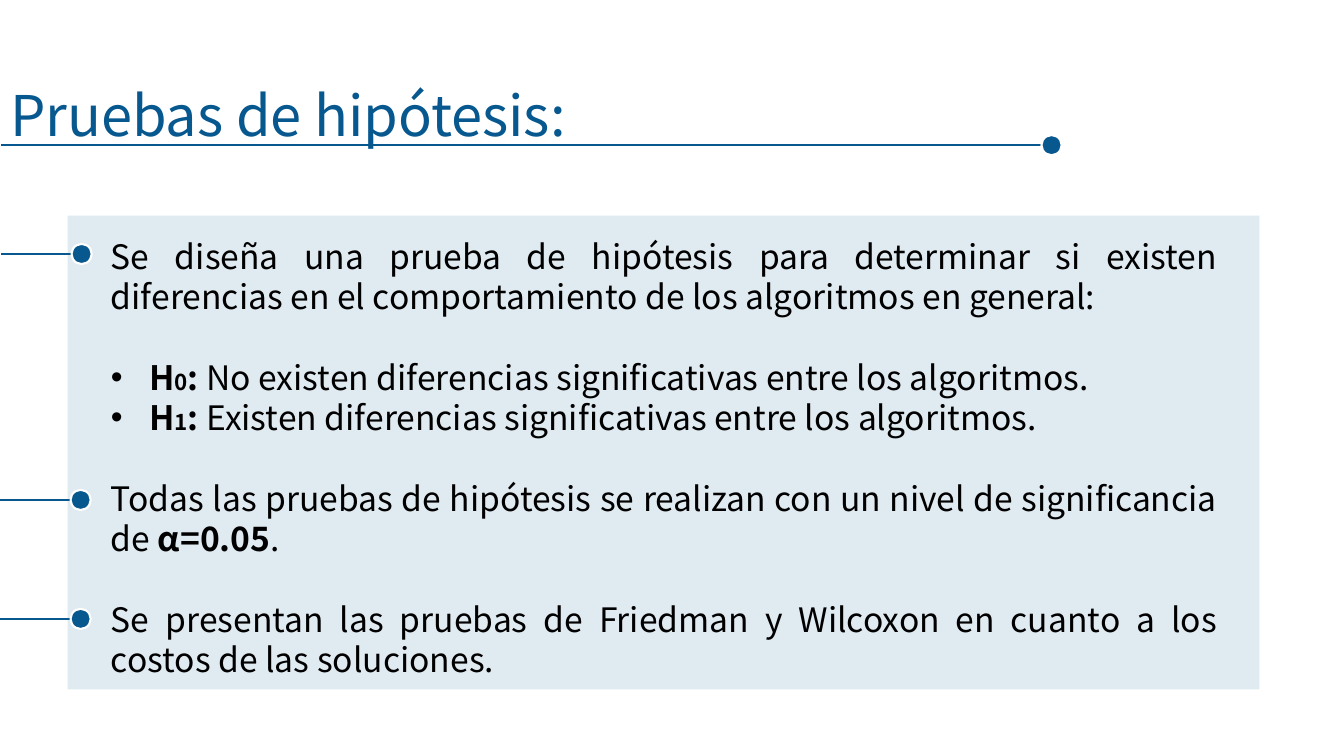
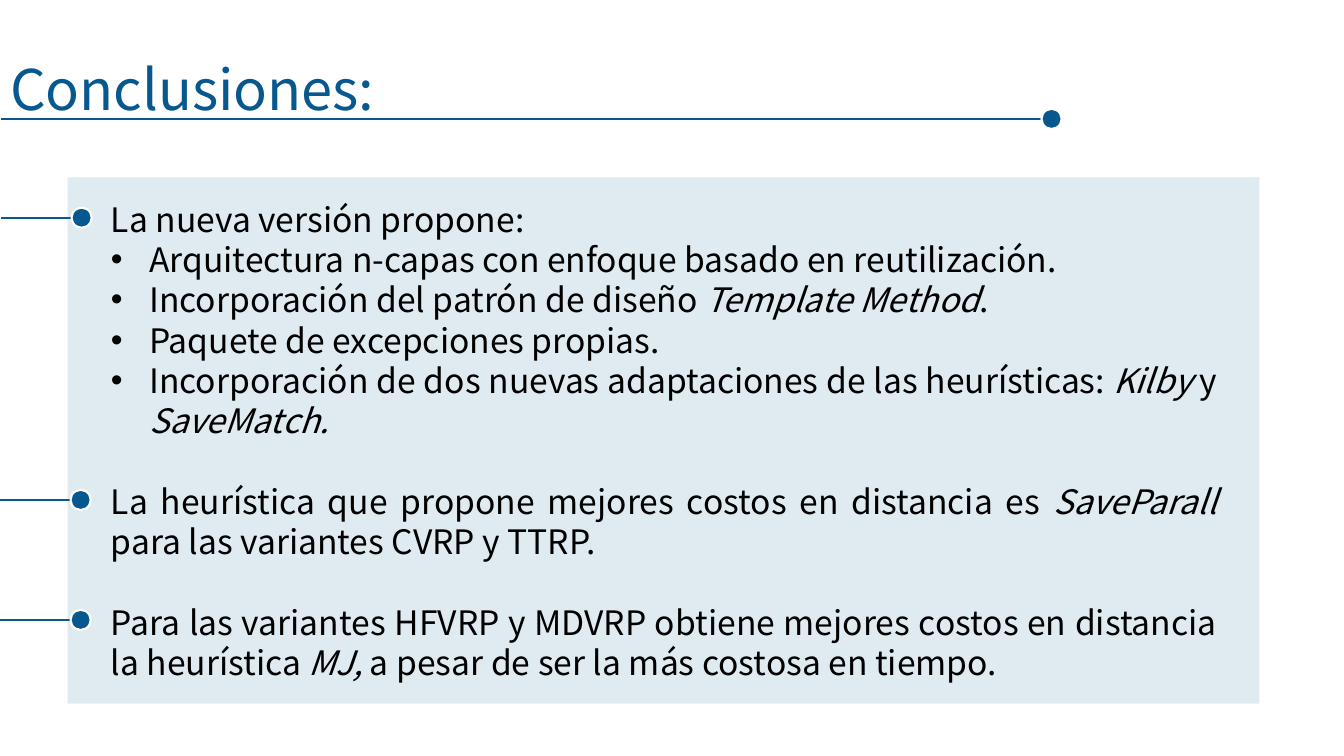
import pptx
import pptx.dml.color
import pptx.enum.shapes
import pptx.enum.text
import pptx.oxml.ns
import pptx.util
from lxml import etree

Inches = pptx.util.Inches
Pt = pptx.util.Pt
Align = pptx.enum.text.PP_ALIGN

BLUE = "07588F"
WHITE = "FFFFFF"
BLACK = "000000"
FONT = "Noto Sans CJK JP"
TITLE_SIZE = 40
BODY_SIZE = 24
LINE_FACTOR = 1.2
BOLD = {"bold": True}
SUBSCRIPT = {"bold": True, "size": 16}
ITALIC = {"italic": True}


def color(value):
    return pptx.dml.color.RGBColor.from_string(value)


def add_xml(parent, tag, **attributes):
    return etree.SubElement(parent, pptx.oxml.ns.qn(tag), attributes)


def write(paragraph, text, size=BODY_SIZE, fill=BLACK, bold=False, italic=False):
    run = paragraph.add_run()
    run.text = text
    run.font.name = FONT
    run.font.size = Pt(size)
    run.font.bold = bold
    run.font.italic = italic
    run.font.color.rgb = color(fill)


class Deck:
    def __init__(self):
        self.presentation = pptx.Presentation()
        self.presentation.slide_width = Inches(13.33)
        self.presentation.slide_height = Inches(7.5)
        self.slide = None

    def new_slide(self):
        layout = self.presentation.slide_layouts[1]
        self.slide = self.presentation.slides.add_slide(layout)

    def place(self, shape, left, top, width, height):
        shape.left, shape.top = Inches(left), Inches(top)
        shape.width, shape.height = Inches(width), Inches(height)
        frame = shape.text_frame
        frame.word_wrap = True
        frame.auto_size = pptx.enum.text.MSO_AUTO_SIZE.NONE
        frame.vertical_anchor = pptx.enum.text.MSO_ANCHOR.TOP
        return frame

    def title(self, text, top, width):
        frame = self.place(self.slide.shapes.title, 0, top, width, 0.77)
        frame.margin_right = 0
        paragraph = frame.paragraphs[0]
        paragraph.alignment = Align.LEFT
        paragraph.line_spacing = Pt(TITLE_SIZE * LINE_FACTOR)
        write(paragraph, text, size=TITLE_SIZE, fill=BLUE)
        self.pin(self.slide.shapes, 0.01, 10.41, top + 0.69)

    def panel(self, top, height):
        shape = self.slide.shapes.add_shape(
            pptx.enum.shapes.MSO_SHAPE.RECTANGLE,
            Inches(0.67), Inches(top), Inches(11.82), Inches(height))
        shape.shadow.inherit = False
        shape.fill.solid()
        shape.fill.fore_color.rgb = color(BLUE)
        shape.line.fill.background()
        tint = shape.element.spPr.find(".//" + pptx.oxml.ns.qn("a:srgbClr"))
        add_xml(tint, "a:alpha", val="12000")
        self.slide.shapes.title.element.addprevious(shape.element)

    def body(self, top, height, items):
        frame = self.place(self.slide.placeholders[1], 1, top, 11.17, height)
        line_height = BODY_SIZE * LINE_FACTOR
        for index, (bulleted, gap, runs) in enumerate(items):
            paragraph = frame.add_paragraph() if index else frame.paragraphs[0]
            paragraph.alignment = Align.JUSTIFY
            paragraph.line_spacing = Pt(line_height)
            paragraph.space_before = Pt(line_height if gap else 0)
            paragraph.space_after = Pt(0)
            properties = paragraph._p.get_or_add_pPr()
            indent = Inches(0.38) if bulleted else 0
            properties.set("marL", str(indent))
            properties.set("indent", str(-indent))
            if bulleted:
                add_xml(properties, "a:buChar", char="•")
            else:
                add_xml(properties, "a:buNone")
            for text, style in runs:
                write(paragraph, text, **style)

    def pin(self, shapes, start, end, y):
        line = shapes.add_connector(
            pptx.enum.shapes.MSO_CONNECTOR.STRAIGHT,
            Inches(start), Inches(y), Inches(end), Inches(y))
        line.line.color.rgb = color(BLUE)
        line.line.width = Pt(1.5)
        add_xml(line.element.spPr, "a:effectLst")
        dot = shapes.add_shape(
            pptx.enum.shapes.MSO_SHAPE.OVAL,
            Inches(end - 0.08), Inches(y - 0.1), Inches(0.2), Inches(0.2))
        dot.shadow.inherit = False
        dot.fill.solid()
        dot.fill.fore_color.rgb = color(BLUE)
        dot.line.color.rgb = color(WHITE)
        dot.line.width = Pt(1.5)

    def markers(self, heights):
        for index, y in enumerate(heights):
            start = 0 if index else 0.01
            group = self.slide.shapes.add_group_shape()
            self.pin(group.shapes, start, start + 0.78, y)


def statement(*runs, gap=True):
    return False, gap, runs


def bullet(*runs, gap=False):
    return True, gap, runs


def plain(text):
    return text, {}


def hypothesis(number, text, gap=False):
    return bullet(("H", BOLD), (number, SUBSCRIPT), (": ", BOLD), plain(text), gap=gap)


def main():
    deck = Deck()

    deck.new_slide()
    deck.panel(2.14, 4.7)
    deck.title("Pruebas de hipótesis:", 0.75, 5.8)
    deck.body(2.29, 4.54, [
        statement(plain("Se diseña una prueba de hipótesis para determinar si existen "
                        "diferencias en el comportamiento de los algoritmos en general:"),
                  gap=False),
        hypothesis("0", "No existen diferencias significativas entre los algoritmos.", gap=True),
        hypothesis("1", "Existen diferencias significativas entre los algoritmos."),
        statement(plain("Todas las pruebas de hipótesis se realizan con un nivel de "
                        "significancia de "), ("α=0.05", BOLD), plain(".")),
        statement(plain("Se presentan las pruebas de Friedman y Wilcoxon en cuanto a los "
                        "costos de las soluciones.")),
    ])
    deck.markers([2.52, 4.96, 6.14])

    deck.new_slide()
    deck.panel(1.76, 5.22)
    deck.title("Conclusiones:", 0.49, 3.82)
    deck.body(1.92, 4.95, [
        statement(plain("La nueva versión propone:"), gap=False),
        bullet(plain("Arquitectura n-capas con enfoque basado en reutilización.")),
        bullet(plain("Incorporación del patrón de diseño "),
               ("Template Method", ITALIC), plain(".")),
        bullet(plain("Paquete de excepciones propias.")),
        bullet(plain("Incorporación de dos nuevas adaptaciones de las heurísticas: "),
               ("Kilby", ITALIC), plain(" y "), ("SaveMatch.", ITALIC)),
        statement(plain("La heurística que propone mejores costos en distancia es "),
                  ("SaveParall", ITALIC), plain(" para las variantes CVRP y TTRP.")),
        statement(plain("Para las variantes HFVRP y MDVRP obtiene mejores costos en "
                        "distancia la heurística "), ("MJ, ", ITALIC),
                  plain("a pesar de ser la más costosa en tiempo.")),
    ])
    deck.markers([2.16, 4.96, 6.15])

    deck.presentation.save("out.pptx")


if __name__ == "__main__":
    main()
